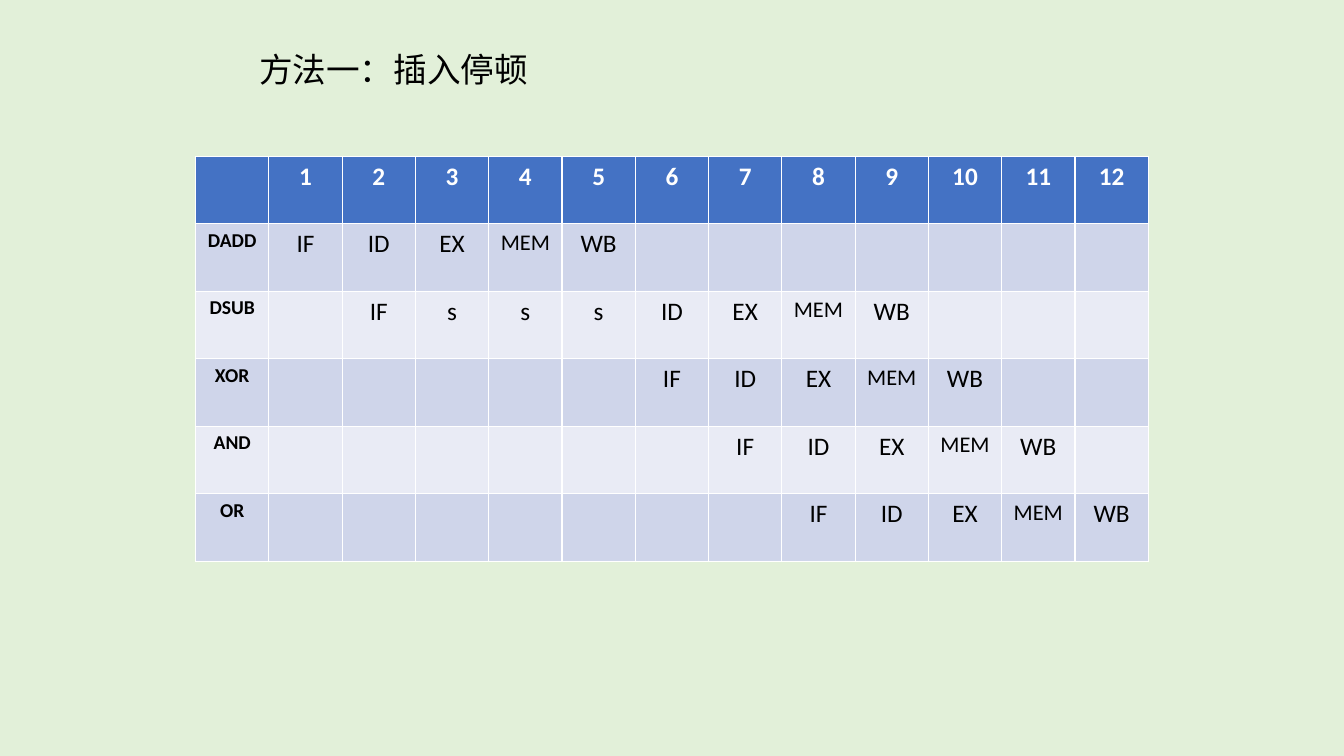
import pptx
import pptx.dml.color
import pptx.enum.text
import pptx.util

Inches = pptx.util.Inches
Align = pptx.enum.text.PP_ALIGN
HEADS = [""] + [str(cycle) for cycle in range(1, 13)]
STAGES = ["IF", "ID", "EX", "MEM", "WB"]
STALLED = ["IF", "s", "s", "s"] + STAGES[1:]
STEPS = [
    ("DADD", 1, STAGES),
    ("DSUB", 2, STALLED),
    ("XOR", 6, STAGES),
    ("AND", 7, STAGES),
    ("OR", 8, STAGES),
]


def paint(color, value):
    """Set a colour format from a hex string."""
    color.rgb = pptx.dml.color.RGBColor.from_string(value)


def style(para, size, color, bold, align):
    """Format a whole paragraph."""
    para.alignment = align
    font = para.font
    font.name = "Calibri"
    font.size = pptx.util.Pt(size)
    font.bold = bold
    paint(font.color, color)


def add_title(slide, text):
    """Move, fill and format the title placeholder."""
    title = slide.shapes.title
    title.left, title.top = Inches(1.78), Inches(0.36)
    title.width, title.height = Inches(9.61), Inches(0.75)
    frame = title.text_frame
    frame.text = text
    frame.word_wrap = True
    frame.vertical_anchor = pptx.enum.text.MSO_ANCHOR.TOP
    frame.margin_left = Inches(0.79)
    para = frame.paragraphs[0]
    para.line_spacing = 1.2
    style(para, 24, "000000", False, Align.LEFT)


def fill_cell(cell, text, fill, size, color, bold):
    """Fill one table cell and set its text."""
    cell.fill.solid()
    paint(cell.fill.fore_color, fill)
    if text:
        cell.text = text
        style(cell.text_frame.paragraphs[0], size, color, bold, Align.CENTER)


def add_chart(slide):
    """Draw the pipeline timing table, one column per cycle."""
    rows, cols = len(STEPS) + 1, len(HEADS)
    table = slide.shapes.add_table(
        rows, cols, Inches(1.94), Inches(1.55), Inches(9.45), Inches(4.02)
    ).table
    for col, head in enumerate(HEADS):
        fill_cell(table.cell(0, col), head, "4472C4", 18, "FFFFFF", True)
    for row, (name, start, stages) in enumerate(STEPS, 1):
        fill = "CFD5EA" if row % 2 else "E9EBF5"
        fill_cell(table.cell(row, 0), name, fill, 14, "000000", True)
        slots = dict(enumerate(stages, start))
        for col in range(1, cols):
            text = slots.get(col, "")
            size = 16 if text == "MEM" else 18
            fill_cell(table.cell(row, col), text, fill, size, "000000", False)


def main():
    """Build and save the slide."""
    deck = pptx.Presentation()
    deck.slide_width, deck.slide_height = Inches(13.33), Inches(7.5)
    slide = deck.slides.add_slide(deck.slide_layouts[5])
    back = slide.background.fill
    back.solid()
    paint(back.fore_color, "E2F0D9")
    add_title(slide, "方法一：插入停顿")
    add_chart(slide)
    deck.save("out.pptx")


if __name__ == "__main__":
    main()
